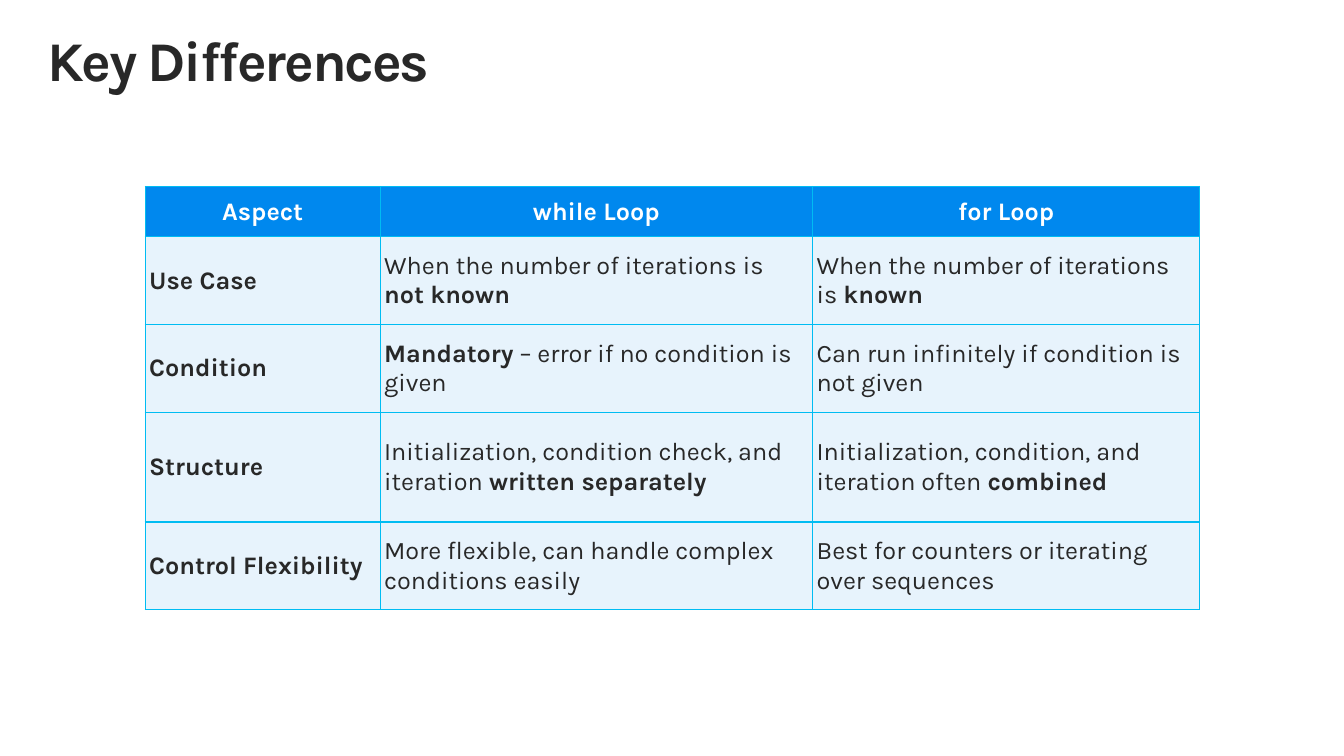
"""Build the Key Differences slide comparing while and for loops."""
from lxml import etree
from pptx import Presentation, util as u
from pptx.dml.color import RGBColor
from pptx.enum import text
from pptx.oxml.ns import qn

COLORS = {"ink": "282828", "header": "0088EE", "body": "E7F3FC",
          "border": "00BCF2", "white": "FFFFFF"}
COLUMN_WIDTHS = [2.33, 4.29, 3.84]
ROW_HEIGHTS = [0.5, 0.87, 0.87, 1.09, 0.87]
COMPARISON = [
    ["**Aspect**", "**while Loop**", "**for Loop**"],
    ["**Use Case**", "When the number of iterations is **not known**",
     "When the number of iterations is **known**"],
    ["**Condition**", "**Mandatory** – error if no condition is given",
     "Can run infinitely if condition is not given"],
    ["**Structure**", "Initialization, condition check, and iteration **written separately**",
     "Initialization, condition, and iteration often **combined**"],
    ["**Control Flexibility**", "More flexible, can handle complex conditions easily",
     "Best for counters or iterating over sequences"],
]


def write(frame, wording, size=18, color="ink", align=text.PP_ALIGN.LEFT, tracking=None):
    """Fill a text frame, setting the parts between double asterisks in bold."""
    paragraph = frame.paragraphs[0]
    paragraph.alignment = align
    for index, part in enumerate(wording.split("**")):
        if part:
            run = paragraph.add_run()
            run.text = part
            run.font.name = "Karla"
            run.font.size = u.Pt(size)
            run.font.bold = index % 2 == 1
            run.font.color.rgb = RGBColor.from_string(COLORS[color])
            if tracking:
                run.font._element.set("spc", str(tracking))
    return paragraph


prs = Presentation()
prs.slide_width, prs.slide_height = u.Inches(13.33), u.Inches(7.5)
slide = prs.slides.add_slide(prs.slide_layouts[6])

heading = slide.shapes.add_textbox(
    u.Inches(0.47), u.Inches(0.15), u.Inches(12.39), u.Inches(0.81)).text_frame
heading.word_wrap = True
heading.margin_left = heading.margin_right = heading.margin_bottom = 0
heading.margin_top = u.Inches(0.18)
write(heading, "**Key Differences**", size=40, tracking=-150).line_spacing = 0.9

differences = slide.shapes.add_table(
    len(ROW_HEIGHTS), len(COLUMN_WIDTHS), u.Inches(1.44), u.Inches(1.85),
    u.Inches(sum(COLUMN_WIDTHS)), u.Inches(sum(ROW_HEIGHTS))).table
for column, width in zip(differences.columns, COLUMN_WIDTHS):
    column.width = u.Inches(width)
for row, height in zip(differences.rows, ROW_HEIGHTS):
    row.height = u.Inches(height)

for r, entries in enumerate(COMPARISON):
    for c, entry in enumerate(entries):
        cell = differences.cell(r, c)
        cell.margin_left = cell.margin_right = u.Inches(0.04)
        cell.margin_top = cell.margin_bottom = u.Inches(0.02)
        cell.vertical_anchor = text.MSO_ANCHOR.MIDDLE
        properties = cell._tc.get_or_add_tcPr()
        for side in ("a:lnL", "a:lnR", "a:lnT", "a:lnB"):
            border = etree.SubElement(properties, qn(side), w=str(u.Pt(1)))
            paint = etree.SubElement(border, qn("a:solidFill"))
            etree.SubElement(paint, qn("a:srgbClr"), val=COLORS["border"])
        cell.fill.solid()
        cell.fill.fore_color.rgb = RGBColor.from_string(COLORS["body" if r else "header"])
        write(cell.text_frame, entry, color="ink" if r else "white",
              align=text.PP_ALIGN.LEFT if r else text.PP_ALIGN.CENTER)

prs.save("out.pptx")
